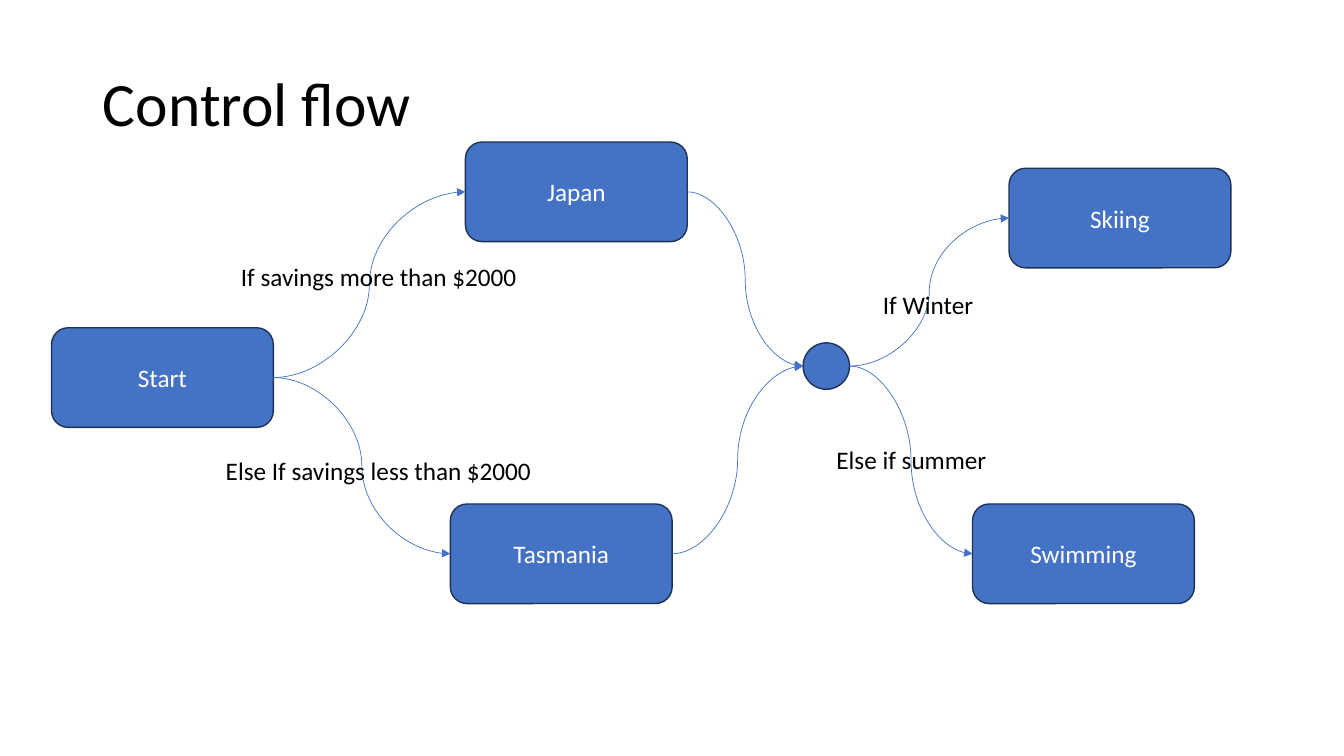
from dataclasses import dataclass

from lxml.etree import SubElement
from pptx import Presentation
from pptx.dml.color import RGBColor
from pptx.enum.shapes import MSO_CONNECTOR, MSO_SHAPE
from pptx.enum.text import MSO_ANCHOR, MSO_AUTO_SIZE, PP_ALIGN
from pptx.oxml.ns import qn
from pptx.shapes.autoshape import Shape
from pptx.slide import Slide
from pptx.util import Cm, Pt


@dataclass(frozen=True)
class Theme:
    font: str = "Calibri"
    ink: RGBColor = RGBColor(0x00, 0x00, 0x00)
    paper: RGBColor = RGBColor(0xFF, 0xFF, 0xFF)
    accent: RGBColor = RGBColor(0x44, 0x72, 0xC4)
    outline: RGBColor = RGBColor(0x1E, 0x32, 0x56)
    title_size: int = 44
    text_size: int = 18
    outline_width: float = 1
    arrow_width: float = 0.5


@dataclass(frozen=True)
class Node:
    key: str
    left: float
    top: float
    text: str = ""
    width: float = 5.59
    height: float = 2.51
    preset: MSO_SHAPE = MSO_SHAPE.ROUNDED_RECTANGLE
    left_site: int = 1
    right_site: int = 3


@dataclass(frozen=True)
class Branch:
    source: str
    target: str


@dataclass(frozen=True)
class Condition:
    text: str
    left: float
    top: float
    width: float
    height: float = 1.02


THEME = Theme()

NODES = [
    Node("start", 1.3, 8.26, "Start"),
    Node("japan", 11.73, 3.58, "Japan"),
    Node("tasmania", 11.35, 12.7, "Tasmania"),
    Node("skiing", 25.43, 4.24, "Skiing"),
    Node("swimming", 24.51, 12.7, "Swimming"),
    Node("junction", 20.24, 8.64, width=1.17, height=1.17,
         preset=MSO_SHAPE.OVAL, left_site=2, right_site=6),
]

BRANCHES = [
    Branch("start", "japan"),
    Branch("start", "tasmania"),
    Branch("japan", "junction"),
    Branch("tasmania", "junction"),
    Branch("junction", "swimming"),
    Branch("junction", "skiing"),
]

CONDITIONS = [
    Condition("If savings more than $2000", 5.82, 6.45, 7.54),
    Condition("Else If savings less than $2000", 5.44, 11.35, 8.31),
    Condition("If Winter", 22, 7.16, 2.82),
    Condition("Else if summer", 20.83, 11.07, 4.34),
]


def write_text(shape: Shape, text: str, *, size: float = THEME.text_size,
               color: RGBColor = THEME.ink, align: PP_ALIGN = PP_ALIGN.LEFT,
               anchor: MSO_ANCHOR = MSO_ANCHOR.TOP, wrap: bool = True,
               fit: MSO_AUTO_SIZE = MSO_AUTO_SIZE.NONE,
               line_spacing: float = 1.0) -> None:
    frame = shape.text_frame
    frame.text = text
    frame.word_wrap = wrap
    frame.auto_size = fit
    frame.vertical_anchor = anchor
    paragraph = frame.paragraphs[0]
    paragraph.alignment = align
    paragraph.line_spacing = line_spacing
    font = paragraph.runs[0].font
    font.name = THEME.font
    font.size = Pt(size)
    font.color.rgb = color


def draw_title(slide: Slide, text: str) -> None:
    title = slide.shapes.title
    title.left, title.top = Cm(2.34), Cm(0.84)
    title.width, title.height = Cm(29.21), Cm(3.68)
    write_text(title, text, size=THEME.title_size,
               anchor=MSO_ANCHOR.MIDDLE, line_spacing=0.9)


def draw_node(slide: Slide, node: Node) -> Shape:
    shape = slide.shapes.add_shape(node.preset, Cm(node.left), Cm(node.top),
                                   Cm(node.width), Cm(node.height))
    shape.shadow.inherit = False
    shape.fill.solid()
    shape.fill.fore_color.rgb = THEME.accent
    shape.line.color.rgb = THEME.outline
    shape.line.width = Pt(THEME.outline_width)
    if node.text:
        write_text(shape, node.text, color=THEME.paper,
                   align=PP_ALIGN.CENTER, anchor=MSO_ANCHOR.MIDDLE)
    return shape


def draw_branch(slide: Slide, source: Node, target: Node,
                shapes: dict[str, Shape]) -> None:
    arrow = slide.shapes.add_connector(
        MSO_CONNECTOR.CURVE,
        Cm(source.left + source.width), Cm(source.top + source.height / 2),
        Cm(target.left), Cm(target.top + target.height / 2))
    arrow.line.color.rgb = THEME.accent
    arrow.line.width = Pt(THEME.arrow_width)
    SubElement(arrow.line._get_or_add_ln(), qn("a:tailEnd"), type="triangle")
    SubElement(arrow._element.spPr, qn("a:effectLst"))
    links = arrow._element.nvCxnSpPr.cNvCxnSpPr
    for tag, node, site in (("a:stCxn", source, source.right_site),
                            ("a:endCxn", target, target.left_site)):
        SubElement(links, qn(tag), id=str(shapes[node.key].shape_id),
                   idx=str(site))


def draw_condition(slide: Slide, condition: Condition) -> None:
    label = slide.shapes.add_textbox(Cm(condition.left), Cm(condition.top),
                                     Cm(condition.width), Cm(condition.height))
    write_text(label, condition.text, wrap=False,
               fit=MSO_AUTO_SIZE.SHAPE_TO_FIT_TEXT)


def main() -> None:
    deck = Presentation()
    deck.slide_width, deck.slide_height = Cm(33.87), Cm(19.05)
    slide = deck.slides.add_slide(deck.slide_layouts.get_by_name("Title Only"))
    draw_title(slide, "Control flow")
    nodes = {node.key: node for node in NODES}
    shapes = {node.key: draw_node(slide, node) for node in NODES}
    for branch in BRANCHES:
        draw_branch(slide, nodes[branch.source], nodes[branch.target], shapes)
    for condition in CONDITIONS:
        draw_condition(slide, condition)
    deck.save("out.pptx")


if __name__ == "__main__":
    main()
